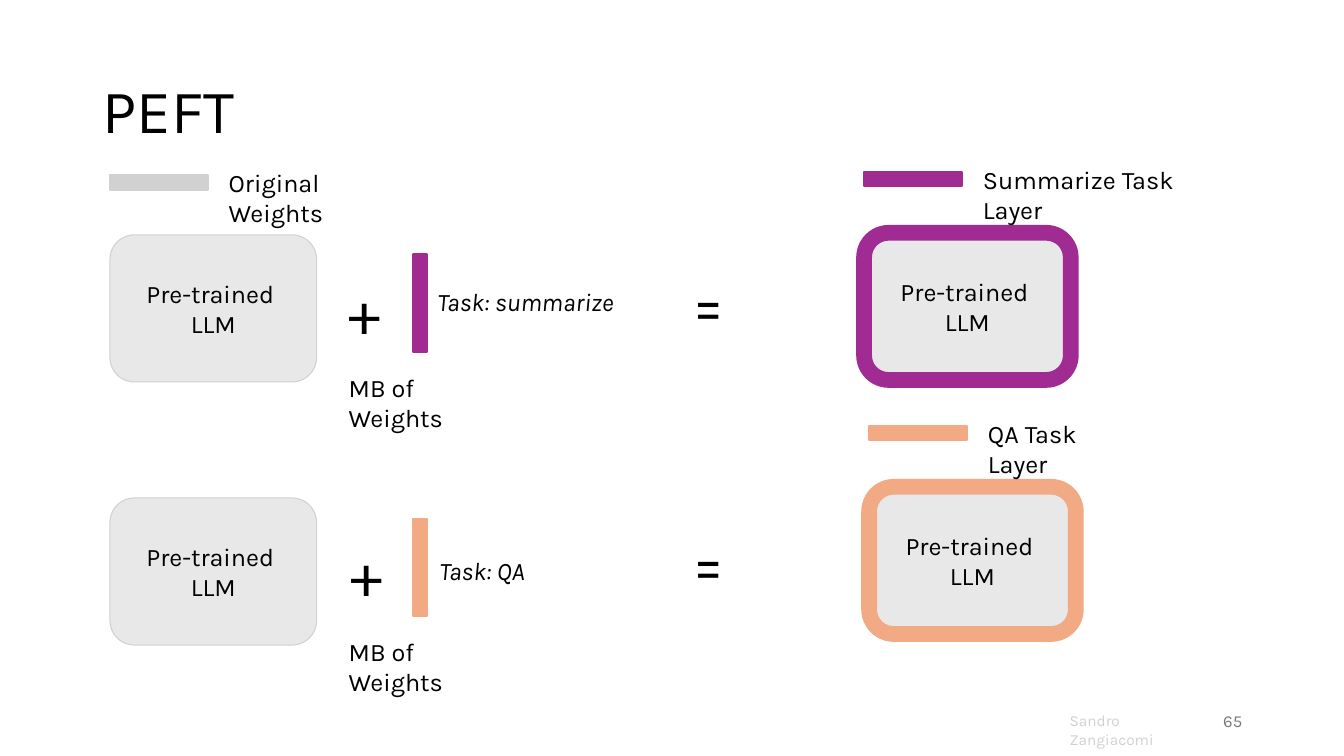
from pptx import Presentation
from pptx.dml.color import RGBColor
from pptx.enum.shapes import MSO_SHAPE
from pptx.enum.text import MSO_ANCHOR, PP_ALIGN
from pptx.util import Inches, Pt

FONT = "Karla"
COLORS = {
    "ink": "000000",
    "model": "E8E8E8",
    "original": "D1D1D1",
    "summarize": "A02B93",
    "qa": "F2AA84",
    "number": "797979",
}
TITLE = "PEFT"
MODEL = "Pre-trained \vLLM"
MODEL_SIZE = (2.05, 1.46)
BAR_SIZE = (0.97, 0.14)
BAR_RISE = 0.6

MODELS = [
    (1.09, 2.33, "original", 0),
    (1.09, 4.94, "original", 0),
    (8.57, 2.31, "summarize", 11.25),
    (8.62, 4.83, "qa", 11.25),
]
LEGENDS = [
    ("Original Weights", 1.09, 1.74, 1.98, "original"),
    ("Summarize Task Layer", 8.57, 2.31 - BAR_RISE, 2.61, "summarize"),
    ("QA Task Layer", 8.62, 4.83 - BAR_RISE, 1.71, "qa"),
]
ADAPTERS = [(3.68, 2.94, "summarize"), (3.68, 5.56, "qa")]
ADAPTER_NOTE = "MB of Weights"
TASKS = [
    ("Task: summarize", 4.24, 2.79, 2.02),
    ("Task: QA", 4.26, 5.46, 1.14),
]
OPERATORS = [
    ("+", 3.36, 2.66, 0.53),
    ("+", 3.38, 5.26, 0.53),
    ("=", 6.77, 2.58, 0.34),
    ("=", 6.77, 5.15, 0.53),
]
AUTHOR = "Sandro Zangiacomi"
PAGE = "65"


def color(name):
    return RGBColor.from_string(COLORS[name])


def write(frame, text, size=18, ink="ink", italic=None, align=None, anchor=MSO_ANCHOR.TOP):
    frame.text = text
    frame.word_wrap = True
    frame.vertical_anchor = anchor
    paragraph = frame.paragraphs[0]
    paragraph.alignment = align
    for run in paragraph.runs:
        run.font.name = FONT
        run.font.size = Pt(size)
        run.font.italic = italic
        run.font.color.rgb = color(ink)


def add_label(slide, text, left, top, width, height=0.4, **style):
    label = slide.shapes.add_textbox(*map(Inches, (left, top, width, height)))
    write(label.text_frame, text, **style)


def add_block(slide, kind, left, top, size, fill, line, weight):
    block = slide.shapes.add_shape(kind, *map(Inches, (left, top, *size)))
    block.shadow.inherit = False
    block.fill.solid()
    block.fill.fore_color.rgb = color(fill)
    block.line.color.rgb = color(line)
    block.line.width = Pt(weight)
    return block


def add_bar(slide, left, top, task):
    return add_block(slide, MSO_SHAPE.RECTANGLE, left, top, BAR_SIZE, task, task, 1.5)


def main():
    deck = Presentation()
    deck.slide_width, deck.slide_height = Inches(13.33), Inches(7.5)
    slide = deck.slides.add_slide(deck.slide_layouts[5])

    title = slide.shapes.title
    title.left, title.top, title.width, title.height = map(Inches, (0.92, 0.4, 1.75, 1.45))
    write(title.text_frame, TITLE, size=44, align=PP_ALIGN.LEFT, anchor=MSO_ANCHOR.MIDDLE)
    title.text_frame.paragraphs[0].line_spacing = 0.9

    for left, top, task, weight in MODELS:
        model = add_block(slide, MSO_SHAPE.ROUNDED_RECTANGLE, left, top, MODEL_SIZE,
                          "model", task, weight)
        write(model.text_frame, MODEL, align=PP_ALIGN.CENTER, anchor=MSO_ANCHOR.MIDDLE)

    for text, left, top, width, task in LEGENDS:
        add_bar(slide, left, top, task)
        add_label(slide, text, left + 1.08, top - 0.13, width)

    for left, top, task in ADAPTERS:
        add_bar(slide, left, top, task).rotation = 90
        add_label(slide, ADAPTER_NOTE, left - 0.32, top + 0.7, 1.75)

    for text, left, top, width in TASKS:
        add_label(slide, text, left, top, width, italic=True)

    for sign, left, top, width in OPERATORS:
        add_label(slide, sign, left, top, width, 0.84, size=44)

    add_label(slide, AUTHOR, 10.51, 7.01, 1.49, 0.29, size=11, ink="original")
    add_label(slide, PAGE, 9.42, 6.95, 3, size=12, ink="number",
              align=PP_ALIGN.RIGHT, anchor=MSO_ANCHOR.MIDDLE)

    deck.save("out.pptx")


if __name__ == "__main__":
    main()
